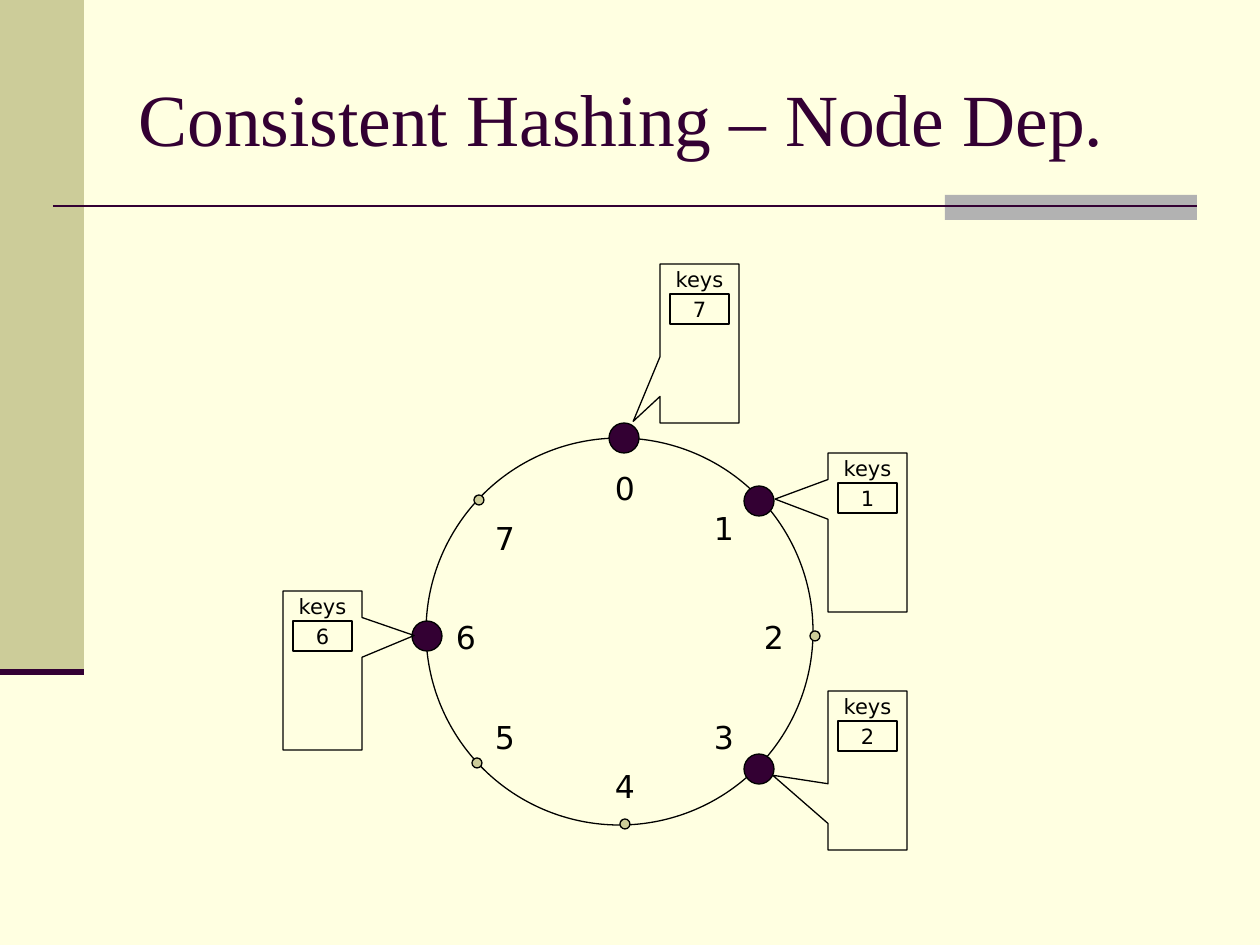
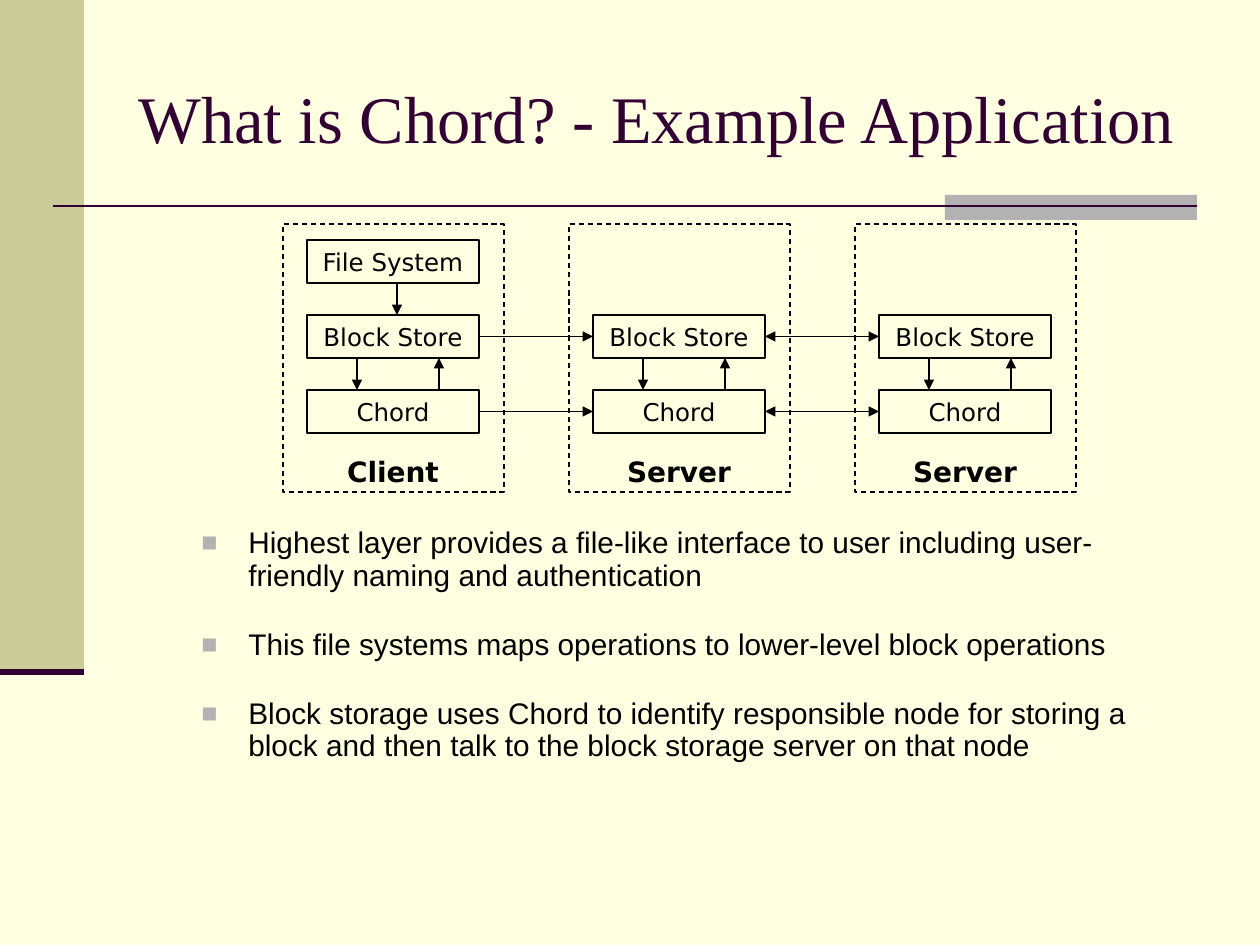
from typing import NamedTuple, Optional

import lxml.etree
import pptx
import pptx.dml.color
import pptx.enum.dml
import pptx.enum.shapes
import pptx.enum.text
import pptx.oxml.ns
import pptx.util

SHAPE = pptx.enum.shapes.MSO_SHAPE
ALIGN = pptx.enum.text.PP_ALIGN
ANCHOR = pptx.enum.text.MSO_ANCHOR

# Shared style
PX_PER_INCH = 126
CREAM, KHAKI, GREY, PLUM, BLACK = "FFFFE1", "CCCC99", "B2B2B2", "330033", "000000"
TITLE_FONT, BODY_FONT, LABEL_FONT = "Times New Roman", "Arial", "DejaVu Sans"


class Box(NamedTuple):
    x: int
    y: int
    w: int
    h: int


class Point(NamedTuple):
    x: int
    y: int


class Position(NamedTuple):
    """A numbered place on the hash ring."""
    label: Point
    dot: Point
    is_node: bool


class KeyList(NamedTuple):
    """A callout listing the key that a node stores."""
    x: int
    y: int
    key: str
    tip: tuple[float, float]


class Machine(NamedTuple):
    name: str
    layers: list[str]


# Drawing helpers
def px(n: float) -> int:
    return pptx.util.Emu(round(n * 914400 / PX_PER_INCH))


def rgb(hex_colour: str) -> pptx.dml.color.RGBColor:
    return pptx.dml.color.RGBColor.from_string(hex_colour)


def add_xml(parent, tag: str, **attrs: str):
    return lxml.etree.SubElement(parent, pptx.oxml.ns.qn(tag), attrs)


def put_text(sp, *texts: str, size: float, font: str = LABEL_FONT, colour: str = BLACK,
             bold: bool = False, align=ALIGN.CENTER, anchor=ANCHOR.MIDDLE,
             wrap: bool = False, bulleted: bool = False) -> None:
    tf = sp.text_frame
    tf.word_wrap = wrap
    tf.vertical_anchor = anchor
    if not wrap:
        tf.margin_left = tf.margin_right = tf.margin_top = tf.margin_bottom = 0
    for i, text in enumerate(texts):
        p = tf.add_paragraph() if i else tf.paragraphs[0]
        p.alignment = align
        r = p.add_run()
        r.text = text
        r.font.size = pptx.util.Pt(size)
        r.font.name = font
        r.font.bold = bold
        r.font.color.rgb = rgb(colour)
        if bulleted:
            add_bullet(p)


def add_bullet(p) -> None:
    p.line_spacing = 0.9
    p.space_before = p.space_after = pptx.util.Pt(10.6)
    pPr = p._p.get_or_add_pPr()
    pPr.set("marL", str(px(47)))
    pPr.set("indent", str(-px(47)))
    add_xml(add_xml(pPr, "a:buClr"), "a:srgbClr", val=GREY)
    add_xml(pPr, "a:buSzPct", val="90000")
    add_xml(pPr, "a:buFont", typeface=BODY_FONT)
    add_xml(pPr, "a:buChar", char="■")


def add_text(s, box: Box, *texts: str, **fmt) -> None:
    put_text(s.shapes.add_textbox(*map(px, box)), *texts, **fmt)


def add_shape(s, kind, box: Box, fill: Optional[str] = None,
              line: Optional[str] = BLACK, dashed: bool = False):
    sp = s.shapes.add_shape(kind, *map(px, box))
    sp.shadow.inherit = False
    if fill:
        sp.fill.solid()
        sp.fill.fore_color.rgb = rgb(fill)
    else:
        sp.fill.background()
    if line:
        sp.line.color.rgb = rgb(line)
        sp.line.width = pptx.util.Pt(0.75)
    else:
        sp.line.fill.background()
    if dashed:
        sp.line.dash_style = pptx.enum.dml.MSO_LINE.DASH
    return sp


def add_circle(s, centre: Point, diameter: int, fill: str) -> None:
    half = diameter // 2
    add_shape(s, SHAPE.OVAL, Box(centre.x - half, centre.y - half, diameter, diameter), fill)


def add_line(s, start: Point, end: Point, colour: str = BLACK, width: float = 0.75,
             head: bool = False, tail: bool = False):
    c = s.shapes.add_connector(pptx.enum.shapes.MSO_CONNECTOR.STRAIGHT,
                               *map(px, (*start, *end)))
    c.line.color.rgb = rgb(colour)
    c.line.width = pptx.util.Pt(width)
    ln = c.line._get_or_add_ln()
    if head:
        add_xml(ln, "a:headEnd", type="triangle")
    if tail:
        add_xml(ln, "a:tailEnd", type="triangle")
    add_xml(c._element.spPr, "a:effectLst")
    return c


def add_base_slide(prs, title: str, title_size: int):
    s = prs.slides.add_slide(prs.slide_layouts[6])
    s.background.fill.solid()
    s.background.fill.fore_color.rgb = rgb(CREAM)
    add_shape(s, SHAPE.RECTANGLE, Box(0, 0, 84, 672), KHAKI, None)
    add_shape(s, SHAPE.RECTANGLE, Box(945, 195, 252, 25), GREY, None)
    add_line(s, Point(53, 206), Point(1197, 206), PLUM, 1.5)
    add_line(s, Point(0, 672), Point(84, 672), PLUM, 3.5)
    add_text(s, Box(126, 38, 1071, 158), title, size=title_size, font=TITLE_FONT,
             colour=PLUM, align=ALIGN.LEFT, wrap=True)
    return s


# Slide 1: hash ring
RING = Box(426, 438, 387, 387)
POSITIONS = [
    Position(Point(625, 488), Point(624, 438), True),
    Position(Point(724, 528), Point(759, 501), True),
    Position(Point(774, 637), Point(815, 636), False),
    Position(Point(724, 737), Point(759, 769), True),
    Position(Point(625, 786), Point(625, 824), False),
    Position(Point(505, 737), Point(477, 763), False),
    Position(Point(466, 637), Point(427, 636), True),
    Position(Point(505, 538), Point(479, 500), False),
]
KEY_LISTS = [
    KeyList(660, 264, "7", (-0.84, 0.49)),
    KeyList(828, 453, "1", (-1.17, -0.21)),
    KeyList(828, 691, "2", (-1.2, 0.03)),
    KeyList(283, 591, "6", (1.16, -0.22)),
]


def add_key_list(s, item: KeyList) -> None:
    callout = add_shape(s, SHAPE.RECTANGULAR_CALLOUT, Box(item.x, item.y, 79, 159))
    callout.adjustments[0], callout.adjustments[1] = item.tip
    add_text(s, Box(item.x + 10, item.y, 59, 30), "keys", size=12)
    key_box = add_shape(s, SHAPE.RECTANGLE, Box(item.x + 10, item.y + 30, 59, 30))
    put_text(key_box, item.key, size=12)


def build_ring_slide(prs) -> None:
    s = add_base_slide(prs, "Consistent Hashing – Node Dep.", 42)
    add_shape(s, SHAPE.OVAL, RING)
    for number, pos in enumerate(POSITIONS):
        add_text(s, Box(pos.label.x - 20, pos.label.y - 20, 40, 40), str(number), size=18)
        diameter, fill = (30, PLUM) if pos.is_node else (10, KHAKI)
        add_circle(s, pos.dot, diameter, fill)
    for item in KEY_LISTS:
        add_key_list(s, item)


# Slide 2: layered application
MACHINES = [
    Machine("Client", ["File System", "Block Store", "Chord"]),
    Machine("Server", ["Block Store", "Chord"]),
    Machine("Server", ["Block Store", "Chord"]),
]
LAYER_TOPS = {"File System": 240, "Block Store": 315, "Chord": 390}
LAYER_H = 43
MACHINE_LEFT, MACHINE_PITCH = 283, 286
POINTS = [
    "Highest layer provides a file-like interface to user including user-friendly naming "
    "and authentication",
    "This file systems maps operations to lower-level block operations",
    "Block storage uses Chord to identify responsible node for storing a block and then "
    "talk to the block storage server on that node",
]


def add_machine(s, machine: Machine, left: int) -> dict:
    add_shape(s, SHAPE.RECTANGLE, Box(left, 224, 221, 268), dashed=True)
    layers = {}
    for name in machine.layers:
        box = Box(left + 24, LAYER_TOPS[name], 172, LAYER_H)
        layers[name] = add_shape(s, SHAPE.RECTANGLE, box)
        put_text(layers[name], name, size=14)
    add_text(s, Box(left + 24, 460, 172, 22), machine.name, size=16, bold=True)

    # Calls between layers
    store_bottom, chord_top = LAYER_TOPS["Block Store"] + LAYER_H, LAYER_TOPS["Chord"]
    down, up = left + 74, left + 156
    add_line(s, Point(down, store_bottom), Point(down, chord_top), tail=True)
    add_line(s, Point(up, store_bottom), Point(up, chord_top), head=True)
    if "File System" in layers:
        x = left + 114
        add_line(s, Point(x, LAYER_TOPS["File System"] + LAYER_H),
                 Point(x, LAYER_TOPS["Block Store"]), tail=True)
    return layers


def build_application_slide(prs) -> None:
    s = add_base_slide(prs, "What is Chord? - Example Application", 38)
    add_text(s, Box(189, 522, 1008, 333), *POINTS, size=17, font=BODY_FONT,
             align=ALIGN.LEFT, anchor=ANCHOR.TOP, wrap=True, bulleted=True)
    stacks = [add_machine(s, machine, MACHINE_LEFT + i * MACHINE_PITCH)
              for i, machine in enumerate(MACHINES)]

    # Links between neighbouring machines; servers talk both ways
    for i, (here, there) in enumerate(zip(stacks, stacks[1:])):
        for name in ("Block Store", "Chord"):
            link = add_line(s, Point(0, 0), Point(0, 0), head=i > 0, tail=True)
            link.begin_connect(here[name], 3)
            link.end_connect(there[name], 1)


def main() -> None:
    prs = pptx.Presentation()
    prs.slide_width, prs.slide_height = px(1260), px(945)
    build_ring_slide(prs)
    build_application_slide(prs)
    prs.save("out.pptx")


if __name__ == "__main__":
    main()
